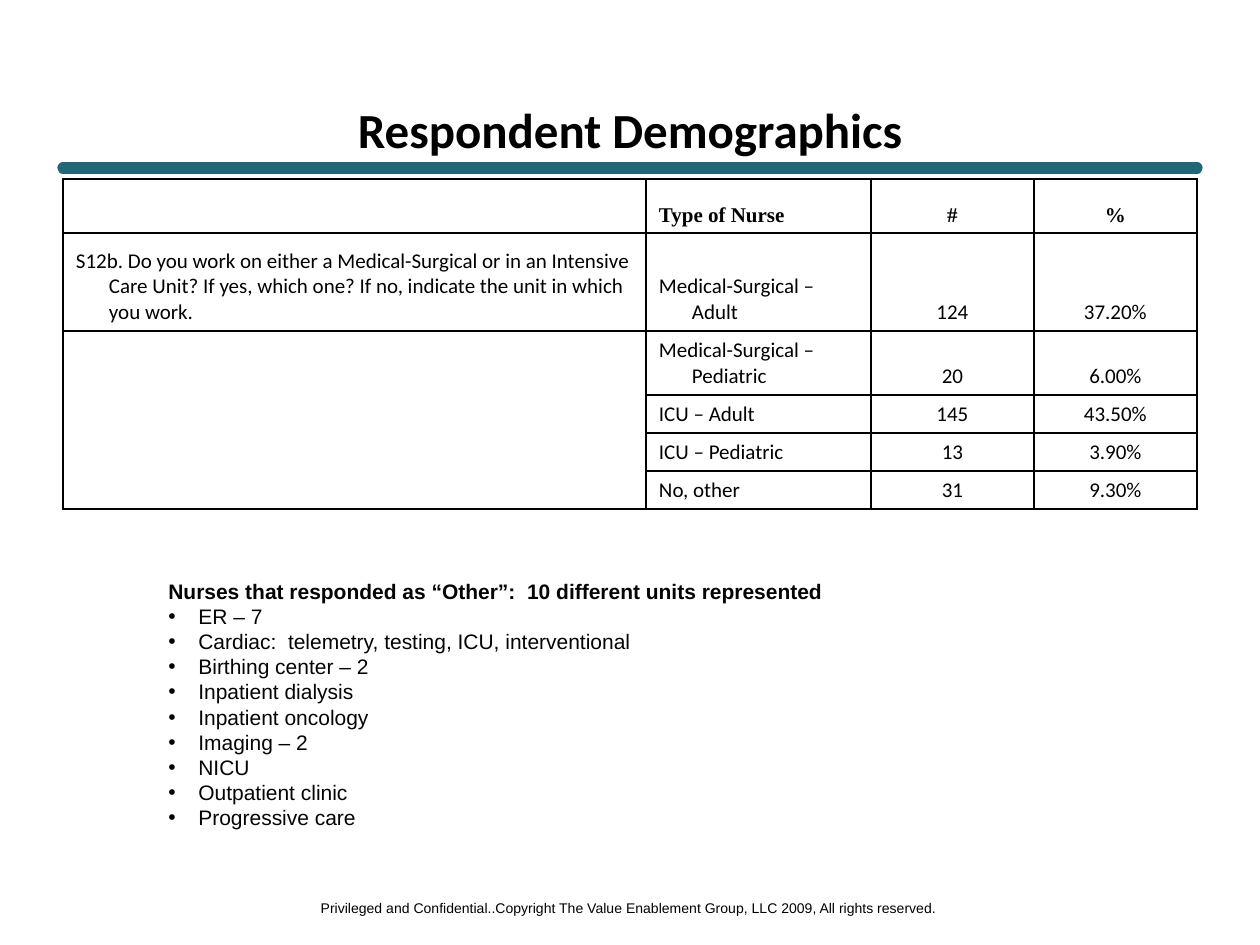
from lxml.etree import SubElement
from pptx import Presentation
from pptx.dml.color import RGBColor
from pptx.enum.shapes import MSO_CONNECTOR as Connector
from pptx.enum.text import MSO_ANCHOR as Anchor, PP_ALIGN as Align
from pptx.oxml.ns import qn
from pptx.util import Emu, Pt

BLACK, INK, TEAL = "000000", "040404", "216778"
HEADERS = ["", "Type of Nurse", "#", "%"]
QUESTION = ("S12b. Do you work on either a Medical-Surgical or in an Intensive Care Unit? "
            "If yes, which one? If no, indicate the unit in which you work.")
ANSWERS = [
    [QUESTION, "Medical-Surgical – Adult", "124", "37.20%"],
    ["", "Medical-Surgical – Pediatric", "20", "6.00%"],
    ["", "ICU – Adult", "145", "43.50%"],
    ["", "ICU – Pediatric", "13", "3.90%"],
    ["", "No, other", "31", "9.30%"],
]
COLUMN_WIDTHS = [583, 225, 163, 163]
ROW_HEIGHTS = [54, 98, 64, 38, 38, 38]
OTHER_HEADING = "Nurses that responded as “Other”:  10 different units represented"
OTHER_UNITS = [
    "ER – 7", "Cardiac:  telemetry, testing, ICU, interventional", "Birthing center – 2",
    "Inpatient dialysis", "Inpatient oncology", "Imaging – 2", "NICU",
    "Outpatient clinic", "Progressive care",
]
FOOTER = ("Privileged and Confidential..Copyright The Value Enablement Group, LLC 2009, "
          "All rights reserved.")


def px(length):
    """Turn pixels, 126 to the inch, into EMU."""
    return Emu(round(length * 914400 / 126))


def color(hex_string):
    return RGBColor.from_string(hex_string)


def set_indent(para, left, first):
    properties = para._p.get_or_add_pPr()
    properties.set("marL", str(px(left)))
    properties.set("indent", str(px(first)))
    return properties


class SlideBuilder:
    def __init__(self, width, height):
        self.deck = Presentation()
        self.deck.slide_width, self.deck.slide_height = px(width), px(height)
        self.page = self.deck.slides.add_slide(self.deck.slide_layouts[6])

    def style(self, para, font, size, ink=BLACK, bold=False, align=Align.LEFT):
        para.alignment = align
        for span in para.runs:
            span.font.name, span.font.size, span.font.bold = font, Pt(size), bold
            span.font.color.rgb = color(ink)

    def box(self, frame, text, wrap=True):
        box = self.page.shapes.add_textbox(*map(px, frame))
        box.text_frame.word_wrap = wrap
        box.text_frame.vertical_anchor = Anchor.TOP
        box.text_frame.text = text
        return box.text_frame

    def label(self, frame, text, font, size, bold=False, anchor=Anchor.TOP, wrap=True):
        text_frame = self.box(frame, text, wrap)
        text_frame.vertical_anchor = anchor
        self.style(text_frame.paragraphs[0], font, size, bold=bold, align=Align.CENTER)

    def bullets(self, frame, heading, items):
        text_frame = self.box(frame, "\n".join([heading, *items]))
        for index, para in enumerate(text_frame.paragraphs):
            para.line_spacing = Pt(14.4)
            if index:
                properties = set_indent(para, 30, -30)
                SubElement(properties, qn("a:buFont"), typeface="Arial")
                SubElement(properties, qn("a:buChar"), char="•")
            self.style(para, "Arial", 12, INK, bold=index == 0)

    def rule(self, left, right, y, ink, weight):
        """Draw a horizontal line with round ends."""
        line = self.page.shapes.add_connector(
            Connector.STRAIGHT, px(left), px(y), px(right), px(y))
        line.line.color.rgb, line.line.width = color(ink), Pt(weight)
        line.line._get_or_add_ln().set("cap", "rnd")
        SubElement(line._element.spPr, qn("a:effectLst"))

    def border(self, cell):
        properties = cell._tc.get_or_add_tcPr()
        for position, side in enumerate(("lnL", "lnR", "lnT", "lnB")):
            edge = properties.makeelement(qn(f"a:{side}"), {"w": str(Pt(1))})
            fill = SubElement(edge, qn("a:solidFill"))
            SubElement(fill, qn("a:srgbClr"), val=BLACK)
            properties.insert(position, edge)

    def fill_cell(self, cell, text, header, centered):
        cell.fill.background()
        self.border(cell)
        cell.vertical_anchor = Anchor.BOTTOM
        cell.margin_left = cell.margin_right = px(13)
        cell.margin_top = cell.margin_bottom = px(6)
        para = cell.text_frame.paragraphs[0]
        if not text:
            SubElement(para._p, qn("a:endParaRPr"), sz="1200")
            return
        para.text = text
        set_indent(para, 33, -33)
        self.style(para, "Times New Roman" if header else "Calibri", 12, bold=header,
                   align=Align.CENTER if centered else Align.LEFT)

    def table(self, left, top, widths, heights, rows):
        table = self.page.shapes.add_table(
            len(rows), len(widths), px(left), px(top), px(sum(widths)), px(sum(heights))).table
        table.first_row = table.horz_banding = False
        for column, width in zip(table.columns, widths):
            column.width = px(width)
        for row, height in zip(table.rows, heights):
            row.height = px(height)
        for r, texts in enumerate(rows):
            for c, text in enumerate(texts):
                self.fill_cell(table.cell(r, c), text, header=r == 0, centered=c >= 2)
        return table


def main():
    builder = SlideBuilder(1260, 945)
    builder.rule(63, 1197, 168, TEAL, 6.5)
    builder.label((304, 893, 650, 30), FOOTER, "Arial", 8, wrap=False)
    builder.label((63, 105, 1134, 48), "Respondent Demographics", "Calibri", 28,
                  bold=True, anchor=Anchor.MIDDLE)
    table = builder.table(63, 179, COLUMN_WIDTHS, ROW_HEIGHTS, [HEADERS, *ANSWERS])
    table.cell(2, 0).merge(table.cell(5, 0))
    builder.bullets((156, 572, 769, 290), OTHER_HEADING, OTHER_UNITS)
    builder.deck.save("out.pptx")


if __name__ == "__main__":
    main()
